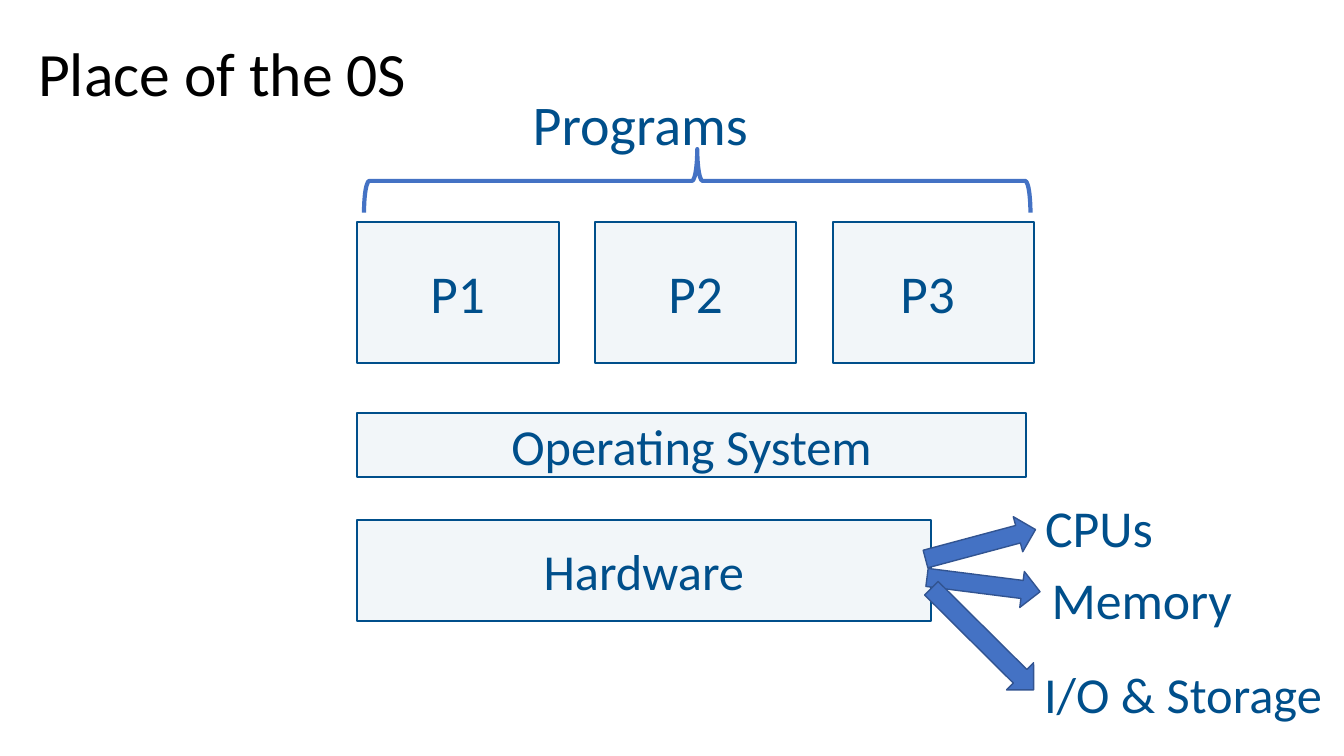
from lxml.etree import SubElement
from pptx import Presentation
from pptx.dml.color import RGBColor
from pptx.enum.shapes import MSO_SHAPE
from pptx.enum.text import MSO_ANCHOR, PP_ALIGN
from pptx.oxml.ns import qn
from pptx.util import Inches, Pt

NAVY = RGBColor(0x00, 0x4F, 0x8B)
BLUE = RGBColor(0x44, 0x72, 0xC4)
EDGE = RGBColor(0x32, 0x54, 0x91)
BLACK = RGBColor(0, 0, 0)

deck = Presentation()
deck.slide_width, deck.slide_height = Inches(13.33), Inches(7.5)
slide = deck.slides.add_slide(deck.slide_layouts[6])


def write(text, shape, size, color=NAVY, align=PP_ALIGN.CENTER, wrap=False):
    frame = shape.text_frame
    frame.word_wrap = wrap
    frame.vertical_anchor = MSO_ANCHOR.MIDDLE
    par = frame.paragraphs[0]
    par.text = text
    par.alignment = align
    par.font.name = "Calibri"
    par.font.size = Pt(size)
    par.font.color.rgb = color


def draw(kind, place, line, width, turn=0):
    shape = slide.shapes.add_shape(kind, *map(Inches, place))
    shape.shadow.inherit = False
    shape.rotation = turn
    shape.line.color.rgb = line
    shape.line.width = Pt(width)
    return shape


title = slide.shapes.add_textbox(Inches(0.28), Inches(0.03), Inches(11.5), Inches(1.45))
write("Place of the 0S", title, 44, color=BLACK, align=PP_ALIGN.LEFT, wrap=True)
title.text_frame.paragraphs[0].line_spacing = 0.9

left = 3.54
boxes = [
    ("Operating System", (left, 4.1, 6.64, 0.63), 36),
    ("Hardware", (left, 5.16, 5.69, 1), 36),
]
for step, name in enumerate(["P1", "P2", "P3 "]):
    boxes.append((name, (left + step * 2.36, 2.2, 2, 1.4), 38))

for text, place, size in boxes:
    box = draw(MSO_SHAPE.RECTANGLE, place, NAVY, 1.42)
    box.fill.solid()
    box.fill.fore_color.rgb = NAVY
    tint = box.fill._xPr.find(qn("a:solidFill"))[0]
    SubElement(tint, qn("a:alpha"), val="5000")
    write(text, box, size)

labels = [
    ("Programs", (5.17, 0.84, 2.36, 0.77), 40),
    ("CPUs", (10.26, 4.87, 1.28, 0.72), 37),
    ("Memory", (10.32, 5.58, 2.01, 0.72), 37),
    ("I/O & Storage ", (10.24, 6.52, 3.1, 0.71), 36),
]
for text, place, size in labels:
    label = slide.shapes.add_textbox(*map(Inches, place))
    write(text, label, size)

brace = draw(MSO_SHAPE.LEFT_BRACE, (6.6, -1.51, 0.63, 6.61), BLUE, 3, turn=90)
brace.fill.background()

arrows = [
    ((9.16, 5.22, 1.13, 0.36), 345),
    ((9.19, 5.62, 1.13, 0.36), 7.2),
    ((9.03, 6.15, 1.43, 0.38), 44.8),
]
for place, turn in arrows:
    arrow = draw(MSO_SHAPE.RIGHT_ARROW, place, EDGE, 1, turn=turn)
    arrow.fill.solid()
    arrow.fill.fore_color.rgb = BLUE

deck.save("out.pptx")
